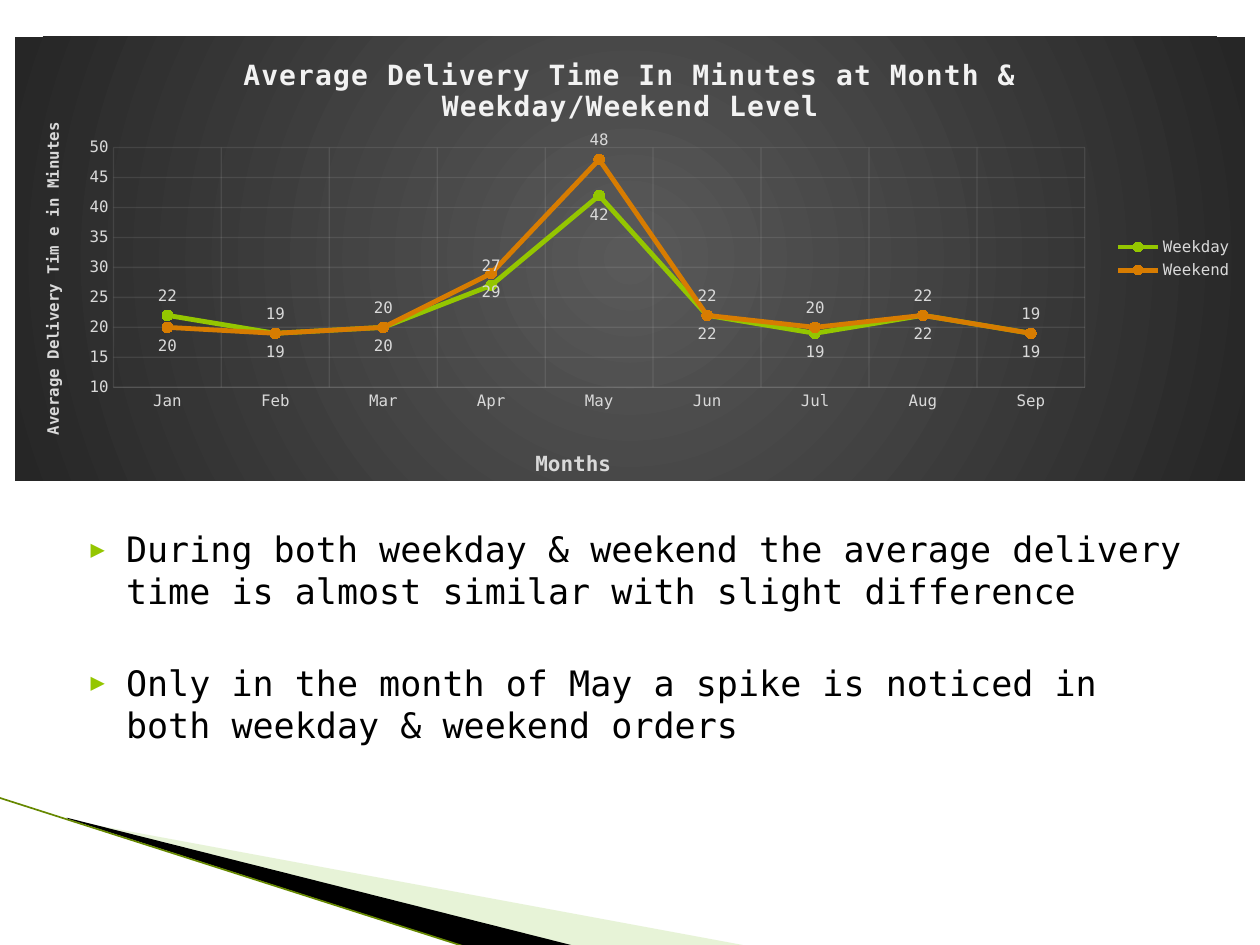
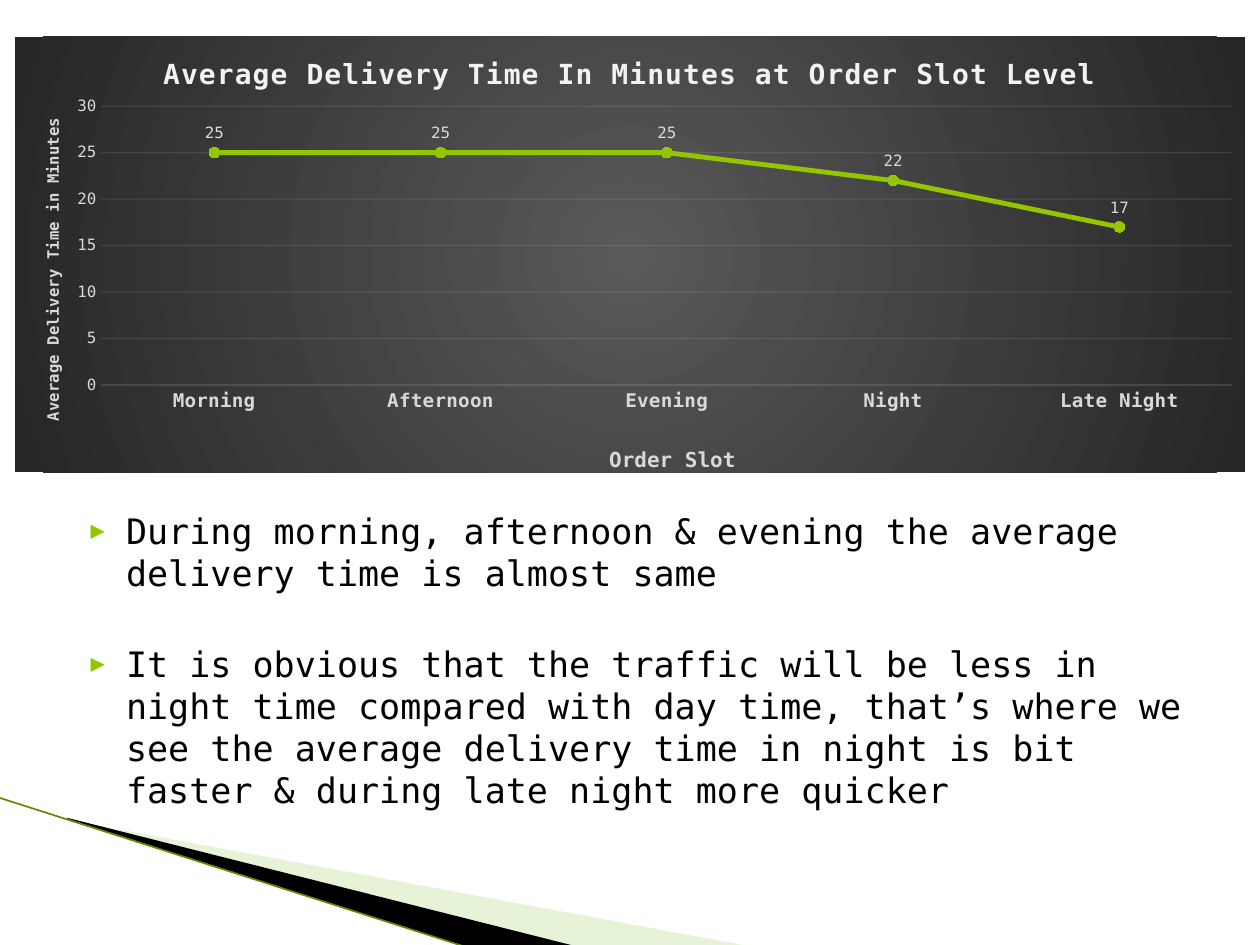
"""Build two slides on average delivery time, each with a line chart and remarks."""
from lxml import etree
from pptx import Presentation
from pptx import util as u
from pptx.chart.data import CategoryChartData
from pptx.dml.color import RGBColor
from pptx.enum import chart as ch, shapes, text
from pptx.oxml import parse_xml
from pptx.oxml.ns import nsdecls, qn

FONT = "DejaVu Sans Mono"
GREEN = RGBColor(0x94, 0xC6, 0x00)
ORANGE = RGBColor(0xD7, 0x7C, 0x01)
OLIVE = RGBColor(0x66, 0x88, 0x00)
PALE_GREEN = RGBColor(0xC3, 0xE1, 0x9D)
BLACK = RGBColor(0, 0, 0)
SILVER = RGBColor(0xD9, 0xD9, 0xD9)
NEAR_WHITE = RGBColor(0xF2, 0xF2, 0xF2)
GLOW, EDGE = RGBColor(0x59, 0x59, 0x59), RGBColor(0x26, 0x26, 0x26)
ABOVE, BELOW = ch.XL_LABEL_POSITION.ABOVE, ch.XL_LABEL_POSITION.BELOW


def set_alpha(parent, percent):
    """Make the solid colour inside an element partly transparent."""
    colour = next(parent.iter(qn("a:srgbClr")))
    etree.SubElement(colour, qn("a:alpha"), val=str(percent * 1000))


def style_font(font, size, colour, bold=False):
    """Apply the shared typeface with a size, colour and weight."""
    font.name, font.size, font.bold = FONT, u.Pt(size), bold
    font.color.rgb = colour


def add_wedge(slide, corners, colour, alpha=100):
    """Draw a filled outline through corners given in inches."""
    points = [(u.Inches(x), u.Inches(y)) for x, y in corners]
    builder = slide.shapes.build_freeform(*points[0], scale=1.0)
    builder.add_line_segments(points[1:], close=True)
    wedge = builder.convert_to_shape()
    wedge.shadow.inherit = False
    wedge.fill.solid()
    wedge.fill.fore_color.rgb = colour
    wedge.line.fill.background()
    if alpha < 100:
        set_alpha(wedge.fill._xPr, alpha)


def add_swoosh(slide):
    """Draw the wedges and thin edge at the lower left."""
    add_wedge(slide, [(0.55, 6.51), (5.95, 7.51), (4.56, 7.51), (0.55, 6.5)], PALE_GREEN, 40)
    add_wedge(slide, [(0.53, 6.49), (4.57, 7.51), (3.72, 7.52), (0.54, 6.5)], BLACK)
    edge = slide.shapes.add_connector(
        shapes.MSO_CONNECTOR.STRAIGHT,
        u.Inches(-0.01), u.Inches(6.33), u.Inches(3.71), u.Inches(7.52))
    edge.line.color.rgb = OLIVE
    edge.line.width = u.Pt(0.95)
    etree.SubElement(edge._element.spPr, qn("a:effectLst"))


def add_bullet(paragraph):
    """Give a paragraph a hanging green triangle."""
    props = paragraph._p.get_or_add_pPr()
    props.set("marL", str(u.Inches(0.4)))
    props.set("indent", str(u.Inches(-0.28)))
    colour = etree.SubElement(props, qn("a:buClr"))
    etree.SubElement(colour, qn("a:srgbClr"), val=str(GREEN))
    etree.SubElement(props, qn("a:buSzPct"), val="68000")
    etree.SubElement(props, qn("a:buFont"), typeface=FONT)
    etree.SubElement(props, qn("a:buChar"), char="▶")


def write_remarks(body, top, height, remarks):
    """Place the body and write one bullet per remark."""
    body.left, body.top = u.Inches(0.5), u.Inches(top)
    body.width, body.height = u.Inches(9), u.Inches(height)
    frame = body.text_frame
    frame.word_wrap = True
    frame.auto_size = text.MSO_AUTO_SIZE.NONE
    frame.vertical_anchor = text.MSO_ANCHOR.TOP
    for index, remark in enumerate(remarks):
        paragraph = frame.add_paragraph() if index else frame.paragraphs[0]
        paragraph.alignment = text.PP_ALIGN.LEFT
        paragraph.space_before = u.Pt(4)
        paragraph.space_after = u.Pt(24 if index < len(remarks) - 1 else 0)
        add_bullet(paragraph)
        run = paragraph.add_run()
        run.text = remark
        style_font(run.font, 20, BLACK)


def set_layout(element, x, y, size=None):
    """Place a chart part by fractions of the chart area."""
    layout = element.find(qn("c:layout"))
    if layout is None:
        layout = etree.Element(qn("c:layout"))
        heading = element.find(qn("c:tx"))
        if heading is None:
            element.insert(0, layout)
        else:
            heading.addnext(layout)
    manual = etree.SubElement(layout, qn("c:manualLayout"))
    values = {"xMode": "edge", "yMode": "edge", "x": x, "y": y}
    if size:
        values = {"layoutTarget": "inner", **values, "w": size[0], "h": size[1]}
    for tag, value in values.items():
        etree.SubElement(manual, qn(f"c:{tag}"), val=str(value))


def write_title(title, words, size, colour):
    """Write a bold chart or axis title and return its run."""
    run = title.text_frame.paragraphs[0].add_run()
    run.text = words
    style_font(run.font, size, colour, bold=True)
    return run


def faint_line(line):
    """Give an axis or grid line its faint stroke."""
    line.color.rgb = NEAR_WHITE
    line.width = u.Pt(0.75)
    set_alpha(line._ln, 10)


def style_axis(axis, title, title_size, title_at, tick_size=9, bold=False, grid=True):
    """Style an axis with its title, tick labels and grid."""
    write_title(axis.axis_title, title, title_size, SILVER)
    set_layout(axis.axis_title._element, *title_at)
    style_font(axis.tick_labels.font, tick_size, SILVER, bold)
    axis.major_tick_mark = axis.minor_tick_mark = ch.XL_TICK_MARK.NONE
    axis.has_major_gridlines = grid
    if grid:
        faint_line(axis.major_gridlines.format.line)


def style_series(series, colour, position, swapped=()):
    """Style a line with markers and labels, some on the other side."""
    series.smooth = False
    series.format.line.color.rgb = colour
    series.format.line.width = u.Pt(2.75)
    marker = series.marker
    marker.style, marker.size = ch.XL_MARKER_STYLE.CIRCLE, 6
    marker.format.fill.solid()
    marker.format.fill.fore_color.rgb = colour
    marker.format.line.fill.background()
    labels = series.data_labels
    labels.show_value = True
    labels.number_format, labels.number_format_is_linked = "0", False
    labels.position = position
    style_font(labels.font, 9, SILVER)
    for index in swapped:
        label = series.points[index].data_label
        style_font(label.font, 9, SILVER)
        label.position = BELOW if position == ABOVE else ABOVE


def fill_backdrop(chart):
    """Fill the chart area with a dark radial gradient."""
    chart._chartSpace.find(qn("c:chart")).addnext(parse_xml(
        f'<c:spPr {nsdecls("c", "a")}><a:gradFill><a:gsLst>'
        f'<a:gs pos="0"><a:srgbClr val="{GLOW}"/></a:gs>'
        f'<a:gs pos="100000"><a:srgbClr val="{EDGE}"/></a:gs></a:gsLst>'
        '<a:path path="circle"><a:fillToRect l="50000" t="50000" r="50000" b="50000"/>'
        '</a:path></a:gradFill><a:ln><a:noFill/></a:ln></c:spPr>'))


def add_line_chart(slide, height, title, categories, series, plot_at, plot_size):
    """Add a dark line chart with its title and return it."""
    data = CategoryChartData(number_format="0")
    data.categories = categories
    for name, values in series.items():
        data.add_series(name, values)
    chart = slide.shapes.add_chart(
        ch.XL_CHART_TYPE.LINE_MARKERS, u.Inches(0.12), u.Inches(0.29),
        u.Inches(9.76), u.Inches(height), data).chart
    style_font(chart.font, 10, BLACK)
    fill_backdrop(chart)
    chart.plots[0].vary_by_categories = False
    heading = write_title(chart.chart_title, title, 16, NEAR_WHITE)
    heading.font._element.set("spc", "80")
    chart.chart_title.include_in_layout = False
    set_layout(chart._chartSpace.chart.plotArea, *plot_at, plot_size)
    chart.has_legend = len(series) > 1
    if chart.has_legend:
        chart.legend.position = ch.XL_LEGEND_POSITION.RIGHT
        chart.legend.include_in_layout = False
        style_font(chart.legend.font, 9, SILVER)
    return chart


def style_value_axis(axis, title, title_at, low, high):
    """Style the minutes axis, which steps by five."""
    style_axis(axis, title, 9, title_at)
    axis.minimum_scale, axis.maximum_scale, axis.major_unit = low, high, 5
    axis.tick_labels.number_format = "0"
    axis.tick_labels.number_format_is_linked = False
    axis.format.line.fill.background()


def add_remark_slide(deck, top, height, remarks):
    """Add a slide with the swoosh and its remarks."""
    slide = deck.slides.add_slide(deck.slide_layouts[1])
    heading = slide.shapes.title._element
    heading.getparent().remove(heading)
    write_remarks(slide.placeholders[1], top, height, remarks)
    add_swoosh(slide)
    return slide


def build_month_slide(deck):
    """Compare weekdays and weekends by month."""
    slide = add_remark_slide(deck, 4.14, 2.43, [
        "During both weekday & weekend the average delivery time is almost similar "
        "with slight difference",
        "Only in the month of May a spike is noticed in both weekday & weekend orders"])
    months = ["Jan", "Feb", "Mar", "Apr", "May", "Jun", "Jul", "Aug", "Sep"]
    chart = add_line_chart(
        slide, 3.54, "Average Delivery Time In Minutes at Month & Weekday/Weekend Level",
        months, {"Weekday": [22, 19, 20, 27, 42, 22, 19, 22, 19],
                 "Weekend": [20, 19, 20, 29, 48, 22, 20, 22, 19]},
        (0.08, 0.25), (0.79, 0.54))
    style_axis(chart.category_axis, "Months", 12, (0.42, 0.92))
    faint_line(chart.category_axis.format.line)
    style_value_axis(chart.value_axis, "Average Delivery Tim e in Minutes", (0.02, 0.19), 10, 50)
    weekday, weekend = chart.plots[0].series
    swapped = [months.index("May"), months.index("Jul")]
    style_series(weekday, GREEN, ABOVE, swapped)
    style_series(weekend, ORANGE, BELOW, swapped)


def build_slot_slide(deck):
    """Compare the order slots of the day."""
    slide = add_remark_slide(deck, 3.99, 2.58, [
        "During morning, afternoon & evening the average delivery time is almost same",
        "It is obvious that the traffic will be less in night time compared with day time, "
        "that’s where we see the average delivery time in night is bit faster & during "
        "late night more quicker"])
    chart = add_line_chart(
        slide, 3.51, "Average Delivery Time In Minutes at Order Slot Level",
        ["Morning", "Afternoon", "Evening", "Night", "Late Night"],
        {"Series 1": [25, 25, 25, 22, 17]}, (0.07, 0.16), (0.92, 0.64))
    style_axis(chart.category_axis, "Order Slot", 12, (0.48, 0.93), 11, bold=True, grid=False)
    faint_line(chart.category_axis.format.line)
    style_value_axis(chart.value_axis, "Average Delivery Time in Minutes", (0.02, 0.19), 0, 30)
    style_series(chart.plots[0].series[0], GREEN, ABOVE)


def main():
    """Build and save the deck."""
    deck = Presentation()
    deck.slide_width, deck.slide_height = u.Inches(10), u.Inches(7.5)
    build_month_slide(deck)
    build_slot_slide(deck)
    deck.save("out.pptx")


if __name__ == "__main__":
    main()
